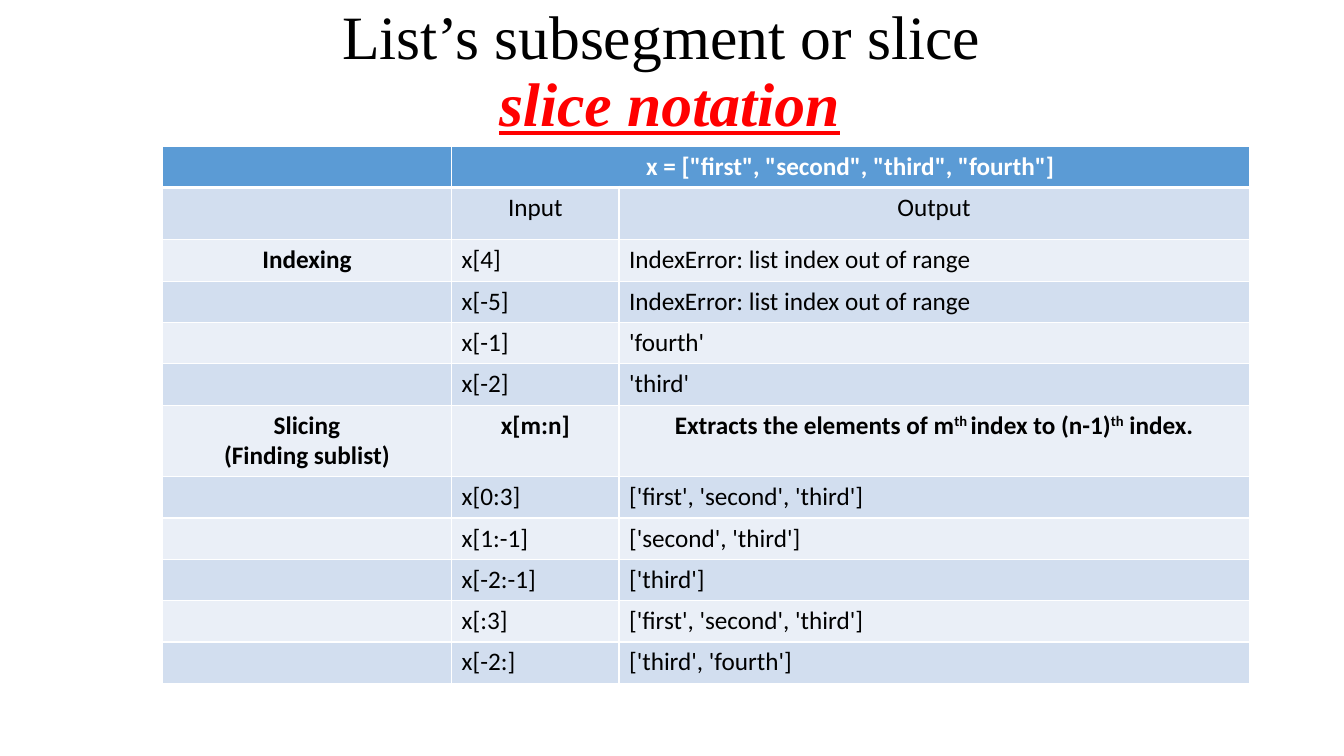
"""Build a slide with a table of list indexing and slice notation."""
import pptx
import pptx.util
import pptx.oxml
import pptx.dml.color
import pptx.enum.text
import lxml.etree

Inches = pptx.util.Inches
Pt = pptx.util.Pt
ALIGN = pptx.enum.text.PP_ALIGN
NS = "http://schemas.openxmlformats.org/drawingml/2006/main"


def hue(code):
    """Turn a hex string into a colour."""
    return pptx.dml.color.RGBColor.from_string(code)


def style(run, look, shade):
    """Set font values and colour on a run."""
    for key, value in look.items():
        setattr(run.font, key, value)
    run.font.color.rgb = hue(shade)


deck = pptx.Presentation()
deck.slide_width = Inches(13.33)
deck.slide_height = Inches(7.5)
slide = deck.slides.add_slide(deck.slide_layouts[6])

title = slide.shapes.add_textbox(Inches(0.89), Inches(0), Inches(11.5), Inches(1.45))
frame = title.text_frame
frame.word_wrap = True
frame.vertical_anchor = pptx.enum.text.MSO_ANCHOR.MIDDLE
head = frame.paragraphs[0]
head.alignment = ALIGN.CENTER
head.line_spacing = 0.9
base = {"name": "Times New Roman", "size": Pt(44)}
run = head.add_run()
run.text = "List’s subsegment or slice "
style(run, base, "000000")
head.add_line_break()
run = head.add_run()
run.text = "slice notation"
style(run, base | {"bold": True, "italic": True, "underline": True}, "FF0000")

# In cell text, "|" switches superscript on and off.
rows = [
    ("", 'x = ["first", "second", "third", "fourth"]', ""),
    ("", "Input", "Output"),
    ("Indexing", "x[4]", "IndexError: list index out of range"),
    ("", "x[-5]", "IndexError: list index out of range"),
    ("", "x[-1]", "'fourth'"),
    ("", "x[-2]", "'third'"),
    ("Slicing\n(Finding sublist)", "x[m:n]",
     "Extracts the elements of m|th |index to (n-1)|th| index."),
    ("", "x[0:3]", "['first', 'second', 'third']"),
    ("", "x[1:-1]", "['second', 'third']"),
    ("", "x[-2:-1]", "['third']"),
    ("", "x[:3]", "['first', 'second', 'third']"),
    ("", "x[-2:]", "['third', 'fourth']"),
]
widths = [2.87, 1.66, 6.25]
tall = {1: 0.52, 6: 0.71}

grid = slide.shapes.add_table(len(rows), len(widths), Inches(1.61), Inches(1.45),
                              Inches(10.78), Inches(5.34)).table
for col, width in zip(grid.columns, widths):
    col.width = Inches(width)
grid.cell(0, 1).merge(grid.cell(0, 2))

for r, texts in enumerate(rows):
    grid.rows[r].height = Inches(tall.get(r, 0.41))
    band = "5B9BD5" if r == 0 else ("EAEFF7", "D2DEEF")[r % 2]
    for c, text in enumerate(texts):
        cell = grid.cell(r, c)
        props = cell._tc.get_or_add_tcPr()
        for side in "LRTB":
            thick = (r, side) in [(0, "B"), (1, "T")]
            line = lxml.etree.SubElement(props, f"{{{NS}}}ln{side}",
                                         w=str(Pt(3 if thick else 1)))
            fill = lxml.etree.SubElement(line, f"{{{NS}}}solidFill")
            lxml.etree.SubElement(fill, f"{{{NS}}}srgbClr", val="FFFFFF")
        cell.fill.solid()
        cell.fill.fore_color.rgb = hue(band)
        if not text:
            continue
        look = {"name": "Calibri", "size": Pt(18), "bold": r in (0, 6) or c == 0}
        for n, part in enumerate(text.split("\n")):
            para = cell.text_frame.add_paragraph() if n else cell.text_frame.paragraphs[0]
            mid = r in (0, 1, 6) or c == 0
            para.alignment = ALIGN.CENTER if mid else ALIGN.LEFT
            for k, piece in enumerate(part.split("|")):
                run = para.add_run()
                run.text = piece
                style(run, look, "000000" if r else "FFFFFF")
                if k % 2:
                    run._r.get_or_add_rPr().set("baseline", "30000")

deck.save("out.pptx")
